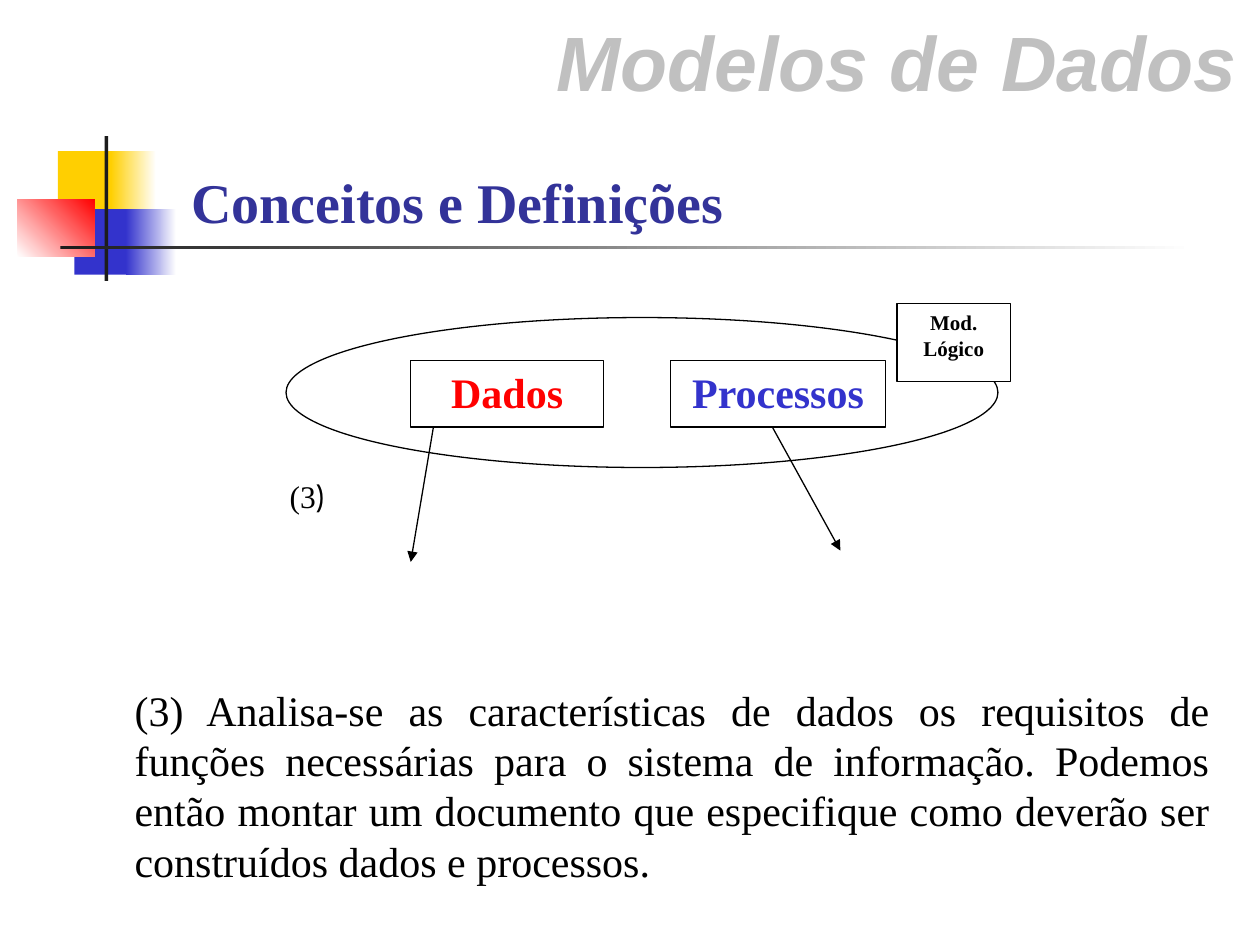
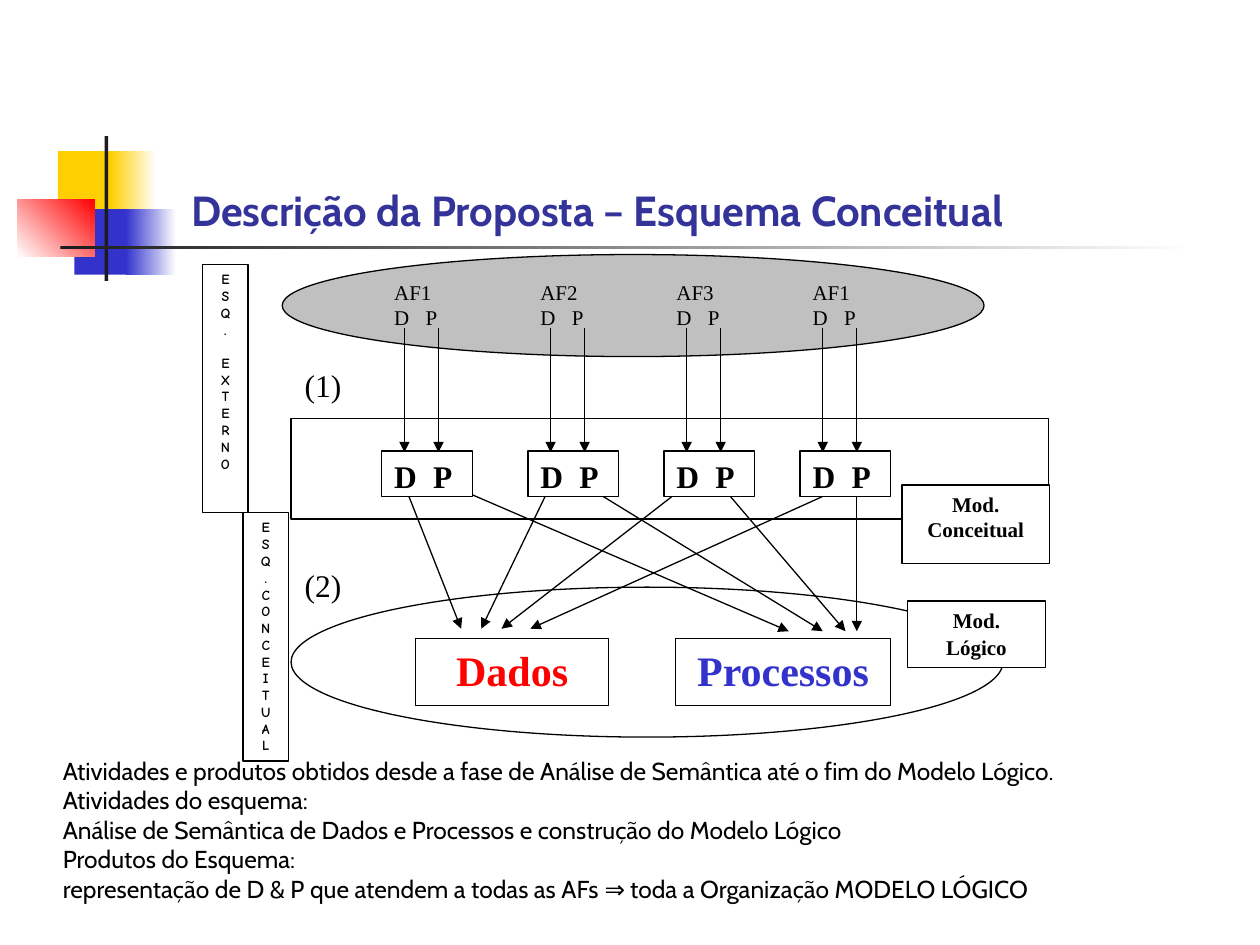
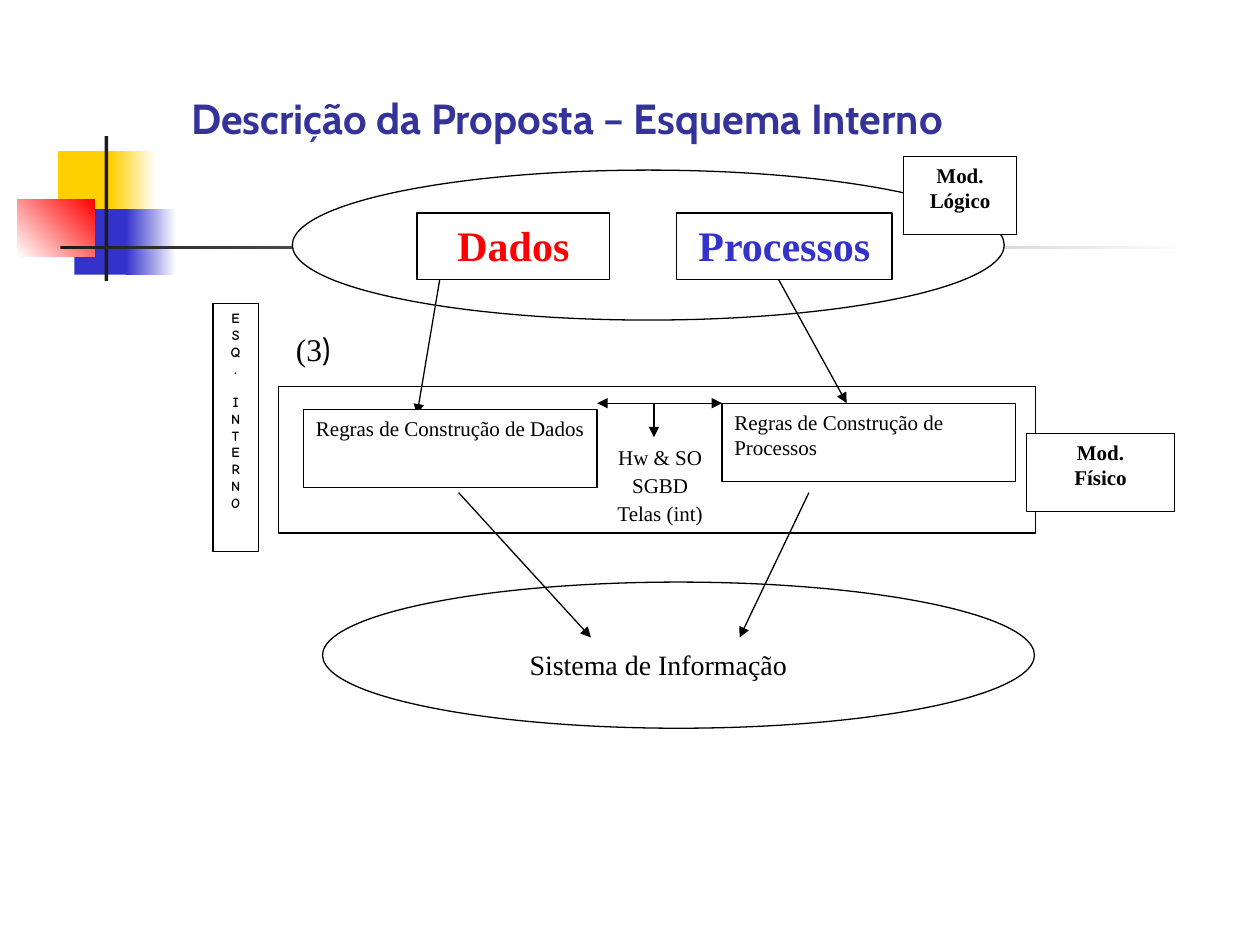
from dataclasses import dataclass

from lxml import etree
from pptx import Presentation
from pptx.dml.color import RGBColor
from pptx.enum.shapes import MSO_CONNECTOR, MSO_SHAPE
from pptx.enum.text import MSO_ANCHOR, PP_ALIGN
from pptx.oxml.ns import qn
from pptx.util import Inches, Pt

RECT, OVAL = MSO_SHAPE.RECTANGLE, MSO_SHAPE.OVAL
STRAIGHT = MSO_CONNECTOR.STRAIGHT
TOP, BOTTOM = MSO_ANCHOR.TOP, MSO_ANCHOR.BOTTOM
LEFT, CENTER = PP_ALIGN.LEFT, PP_ALIGN.CENTER
RIGHT, JUSTIFY = PP_ALIGN.RIGHT, PP_ALIGN.JUSTIFY


@dataclass(frozen=True)
class Font:
    name: str
    size: float
    color: str = "000000"
    bold: bool = False
    italic: bool = False


@dataclass(frozen=True)
class Theme:
    black: str = "000000"
    white: str = "FFFFFF"
    dark: str = "1C1C1C"
    yellow: str = "FFCF01"
    blue: str = "3333CC"
    red: str = "FF0000"
    grey: str = "C0C0C0"
    line_width: float = 0.75
    title_serif: Font = Font("Times New Roman", 32, "333399", True)
    title_sans: Font = Font("Cabin", 24, "333399", True)
    banner: Font = Font("Arial", 44, "C0C0C0", True, True)
    body: Font = Font("Times New Roman", 24)
    notes: Font = Font("Cabin", 14)
    data: Font = Font("Times New Roman", 24, "FF0000", True)
    process: Font = Font("Times New Roman", 24, "3333CC", True)
    model: Font = Font("Times New Roman", 12, bold=True)
    small: Font = Font("Times New Roman", 12)
    system: Font = Font("Times New Roman", 16)
    step: Font = Font("Times New Roman", 18)
    step_sans: Font = Font("Cabin", 18)
    pair: Font = Font("Times New Roman", 18, bold=True)
    vertical: Font = Font("Comic Neue", 8, bold=True)


THEME = Theme()


class Deck:
    def __init__(self, theme):
        self.theme = theme
        self.prs = Presentation()
        self.prs.slide_width, self.prs.slide_height = Inches(10), Inches(7.5)
        self.shapes = None

    def new_slide(self):
        s = self.prs.slides.add_slide(self.prs.slide_layouts[6])
        self.shapes = s.shapes
        self.ornament()

    def ornament(self):
        """Coloured squares and the rule that fades across the slide."""
        t = self.theme
        self.block(0.46, 1.2, 0.48, 0.52, t.yellow)
        self.block(0.88, 1.2, 0.36, 0.52, t.yellow, t.white)
        self.block(0.59, 1.66, 0.46, 0.52, t.blue)
        self.block(1, 1.66, 0.4, 0.52, t.blue, t.white)
        self.block(0.14, 1.58, 0.61, 0.46, t.white, t.red, angle=45)
        self.block(0.83, 1.08, 0.03, 1.15, t.dark)
        self.block(0.48, 1.95, 9, 0.03, t.dark, t.white)

    def block(self, x, y, w, h, color, end_color=None, angle=0):
        """Borderless rectangle, solid or fading to end_color."""
        sp = self.shape(RECT, x, y, w, h, color)
        sp.line.fill.background()
        if end_color:
            sp.fill.gradient()
            sp.fill.gradient_angle = angle
            for stop, rgb in zip(sp.fill.gradient_stops, (color, end_color)):
                stop.color.rgb = RGBColor.from_string(rgb)

    def shape(self, kind, x, y, w, h, fill=THEME.white):
        sp = self.shapes.add_shape(kind, Inches(x), Inches(y), Inches(w), Inches(h))
        sp.shadow.inherit = False
        sp.fill.solid()
        sp.fill.fore_color.rgb = RGBColor.from_string(fill)
        sp.line.color.rgb = RGBColor.from_string(self.theme.black)
        sp.line.width = Pt(self.theme.line_width)
        return sp

    def box(self, x, y, w, h, text, font, align=CENTER, **options):
        sp = self.shape(RECT, x, y, w, h)
        return self.set_text(sp, text, font, align, **options)

    def text(self, x, y, w, h, text, font, align=LEFT, **options):
        sp = self.shapes.add_textbox(Inches(x), Inches(y), Inches(w), Inches(h))
        return self.set_text(sp, text, font, align, **options)

    def set_text(self, sp, text, font, align, anchor=TOP, gap=0, tab=None):
        tf = sp.text_frame
        tf.word_wrap = True
        tf.vertical_anchor = anchor
        tf.text = text
        for i, p in enumerate(tf.paragraphs):
            if tab:
                stops = etree.SubElement(p._p.get_or_add_pPr(), qn("a:tabLst"))
                etree.SubElement(stops, qn("a:tab"), pos=str(Inches(tab)), algn="l")
            p.alignment = align
            p.space_before = Pt(gap if i else 0)
            for r in p.runs:
                self.set_font(r, font)
        return tf

    def set_font(self, r, font):
        r.font.name, r.font.size = font.name, Pt(font.size)
        r.font.bold, r.font.italic = font.bold, font.italic
        r.font.color.rgb = RGBColor.from_string(font.color)

    def title(self, text, font, y=1.33):
        self.text(1.42, y, 8.58, 0.58, text, font, anchor=BOTTOM)

    def arrow(self, x1, y1, x2, y2, both=False):
        cn = self.shapes.add_connector(
            STRAIGHT, Inches(x1), Inches(y1), Inches(x2), Inches(y2))
        cn.line.color.rgb = RGBColor.from_string(self.theme.black)
        cn.line.width = Pt(self.theme.line_width)
        sp_pr = cn._element.spPr
        ln = sp_pr.find(qn("a:ln"))
        for end in ("a:headEnd", "a:tailEnd") if both else ("a:tailEnd",):
            etree.SubElement(ln, qn(end), type="triangle")
        etree.SubElement(sp_pr, qn("a:effectLst"))

    def vertical_box(self, x, y, *words):
        """Narrow box with one letter a line and a line's gap between words."""
        tf = self.box(x, y, 0.36, 1.97, "\n".join("".join(words)),
                      self.theme.vertical)
        start = 0
        for word in words[:-1]:
            start += len(word)
            tf.paragraphs[start].space_before = Pt(9.5)

    def model_box(self, x, y, name, w=0.9, h=0.62, gap=0):
        self.box(x, y, w, h, f"Mod.\n{name}", self.theme.model, gap=gap)

    def data_and_processes(self, x, y, drop=0.34):
        """Ellipse at x, y holding the two boxes, drop below its top."""
        self.shape(OVAL, x, y, 5.65, 1.19)
        self.box(x + 0.99, y + drop, 1.53, 0.53, "Dados", self.theme.data)
        self.box(x + 3.05, y + drop, 1.71, 0.53, "Processos", self.theme.process)

    def logical_model(self, x, y):
        """Logical model with the arrows of step 3 leaving it."""
        self.data_and_processes(x, y)
        self.arrow(x + 1.17, y + 0.87, x + 0.99, y + 1.94)
        self.arrow(x + 3.86, y + 0.87, x + 4.4, y + 1.85)
        self.model_box(x + 4.85, y - 0.11, "Lógico")
        tf = self.text(x - 0.07, y + 1.22, 0.58, 0.4, "(3", self.theme.step)
        r = tf.paragraphs[0].add_run()
        r.text = ")"
        self.set_font(r, self.theme.step_sans)


def concepts_slide(deck):
    t = deck.theme
    deck.new_slide()
    deck.title("Conceitos e Definições", t.title_serif)
    deck.text(1.42, 0.15, 8.5, 0.75, "Modelos de Dados", t.banner, RIGHT,
              anchor=BOTTOM)
    deck.text(0.97, 5.38, 8.73, 1.7,
              "(3) Analisa-se as características de dados os requisitos de "
              "funções necessárias para o sistema de informação. Podemos então "
              "montar um documento que especifique como deverão ser construídos "
              "dados e processos.", t.body, JUSTIFY)
    deck.logical_model(2.27, 2.52)


def conceptual_slide(deck):
    t = deck.theme
    deck.new_slide()
    deck.text(0.4, 5.95, 9.6, 1.26,
              "Atividades e produtos obtidos desde a fase de Análise de "
              "Semântica até o fim do Modelo Lógico.\n"
              "Atividades do esquema:\n"
              "Análise de Semântica de Dados e Processos e construção do "
              "Modelo Lógico\n"
              "Produtos do Esquema:\n"
              "representação de D & P que atendem a todas as AFs ⇒ toda a "
              "Organização MODELO LÓGICO", t.notes)

    areas = {3.03: "AF1", 4.19: "AF2", 5.27: "AF3", 6.35: "AF1"}
    deck.shape(OVAL, 2.24, 2.02, 5.57, 0.81, t.grey)
    deck.shape(RECT, 2.31, 3.32, 6.01, 0.8)
    for x, area in areas.items():
        deck.text(x, 2.17, 0.72, 0.71, f"{area}\nD\tP", t.small, tab=0.25)
        for dx in (0.18, 0.45):
            deck.arrow(x + dx, 2.6, x + dx, 3.59)
    deck.model_box(7.16, 3.85, "Conceitual", w=1.17)

    deck.data_and_processes(2.31, 4.66, drop=0.41)
    to_data = ((3.21, 3.85, 3.66), (4.37, 3.85, 3.82),
               (5.45, 3.85, 3.98), (6.53, 3.94, 4.21))
    for x1, y1, x2 in to_data:
        deck.arrow(x1, y1, x2, 4.99)
    to_processes = ((3.57, 6.26), (4.64, 6.53), (5.72, 6.71), (6.8, 6.8))
    for x1, x2 in to_processes:
        deck.arrow(x1, 3.85, x2, 5.01)
    for x in areas:
        deck.box(x, 3.58, 0.72, 0.36, "D\tP", t.pair, LEFT, tab=0.31)

    for y, step in ((2.86, "(1)"), (4.44, "(2)")):
        deck.text(2.32, y, 0.55, 0.4, step, t.step)
    deck.model_box(7.2, 4.77, "Lógico", w=1.1, h=0.53, gap=1.5)
    deck.title("Descrição da Proposta – Esquema Conceitual", t.title_sans)
    deck.vertical_box(1.61, 2.1, "ESQ.", "EXTERNO")
    deck.vertical_box(1.93, 4.07, "ESQ.CONCEITUAL")


def internal_slide(deck):
    t = deck.theme
    deck.new_slide()
    deck.title("Descrição da Proposta – Esquema Interno", t.title_sans, y=0.6)
    deck.shape(RECT, 2.21, 3.07, 6.01, 1.16)
    deck.logical_model(2.32, 1.35)
    for x, y, subject in ((2.41, 3.25, "Dados"), (5.73, 3.2, "Processos")):
        deck.box(x, y, 2.33, 0.62, f"Regras de Construção de {subject}",
                 t.small, LEFT)
    deck.arrow(4.74, 3.2, 5.73, 3.2, both=True)
    deck.arrow(5.19, 3.2, 5.19, 3.47)
    deck.model_box(8.15, 3.44, "Físico", w=1.17)
    deck.text(4.61, 3.48, 1.26, 0.74, "Hw & SO\nSGBD\nTelas (int)", t.small,
              CENTER, gap=1.5)
    deck.vertical_box(1.69, 2.41, "ESQ.", "INTERNO")
    deck.shape(OVAL, 2.56, 4.62, 5.65, 1.16)
    deck.arrow(3.64, 3.91, 4.69, 5.06)
    deck.arrow(6.42, 3.91, 5.87, 5.06)
    deck.text(4.06, 5.09, 2.33, 0.39, "Sistema de Informação", t.system, CENTER)


def main():
    deck = Deck(THEME)
    concepts_slide(deck)
    conceptual_slide(deck)
    internal_slide(deck)
    deck.prs.save("out.pptx")


if __name__ == "__main__":
    main()
